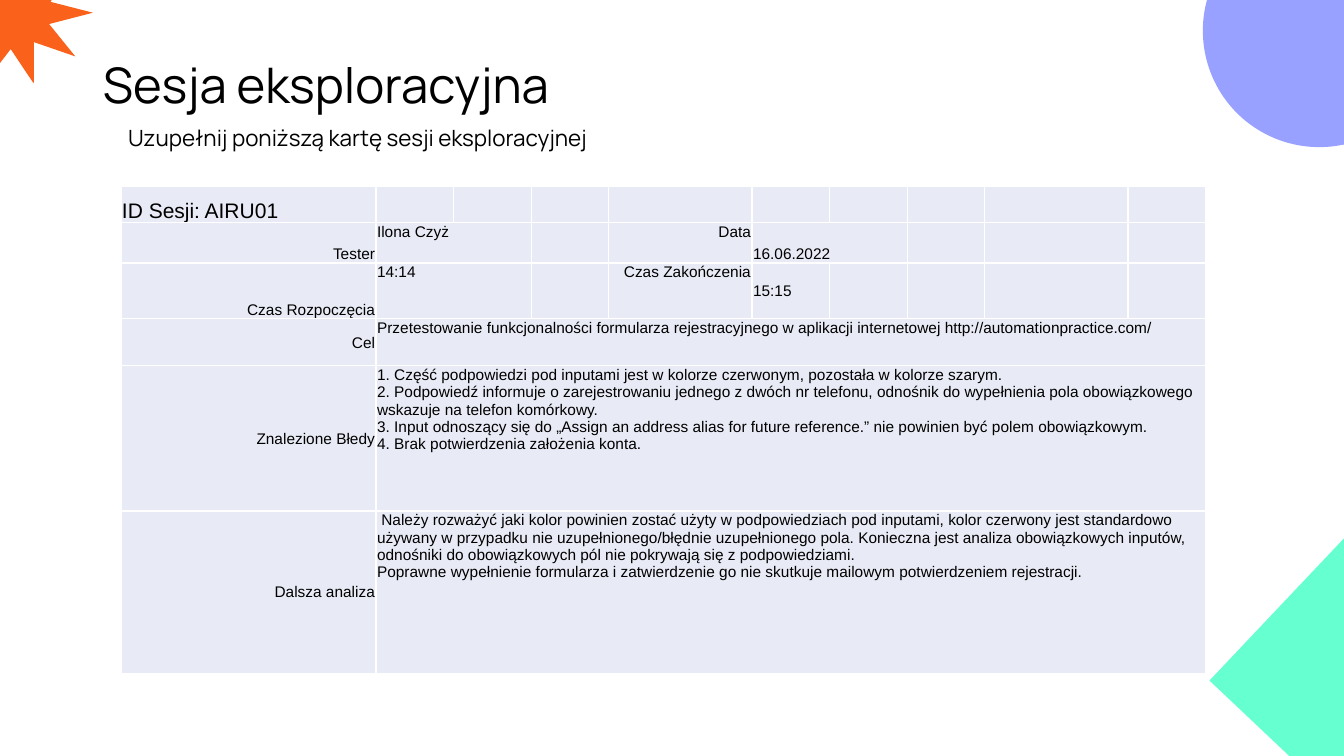
"""Builds the exploratory testing session card slide."""
from lxml.etree import SubElement
from pptx import Presentation
from pptx.dml.color import RGBColor
from pptx.enum.shapes import MSO_SHAPE
from pptx.enum.text import MSO_ANCHOR, MSO_AUTO_SIZE, PP_ALIGN
from pptx.oxml.ns import qn
from pptx.util import Inches, Pt

BLACK = RGBColor(0x00, 0x00, 0x00)
WHITE = RGBColor(0xFF, 0xFF, 0xFF)
VIOLET = RGBColor(0x98, 0xA1, 0xFF)
MINT = RGBColor(0x66, 0xFF, 0xD0)
ORANGE = RGBColor(0xFA, 0x61, 0x1A)
CELL_FILL = RGBColor(0xE8, 0xEB, 0xF5)
LEFT, RIGHT = PP_ALIGN.LEFT, PP_ALIGN.RIGHT
TOP, MIDDLE, BOTTOM = MSO_ANCHOR.TOP, MSO_ANCHOR.MIDDLE, MSO_ANCHOR.BOTTOM


def write(paragraph, text, font_name, size, align=LEFT):
    paragraph.alignment = align
    run = paragraph.add_run()
    run.text = text
    run.font.name = font_name
    run.font.size = Pt(size)
    run.font.color.rgb = BLACK


def style_cell(cell):
    cell.margin_left = cell.margin_right = cell.margin_top = Inches(0.01)
    cell.margin_bottom = 0
    properties = cell._tc.get_or_add_tcPr()
    for side in ("a:lnL", "a:lnR", "a:lnT", "a:lnB"):
        border = SubElement(properties, qn(side), w=str(Pt(1)))
        SubElement(SubElement(border, qn("a:solidFill")), qn("a:srgbClr"), val=str(WHITE))
    cell.fill.solid()
    cell.fill.fore_color.rgb = CELL_FILL


presentation = Presentation()
presentation.slide_width = Inches(13.33)
presentation.slide_height = Inches(7.5)
slide = presentation.slides.add_slide(presentation.slide_layouts[5])
slide.background.fill.solid()
slide.background.fill.fore_color.rgb = WHITE

decorations = [
    (MSO_SHAPE.OVAL, 11.93, -0.85, 2.31, 2.31, 0, VIOLET, []),
    (MSO_SHAPE.RECTANGLE, 12.37, 4.92, 3.88, 2.7, 313.4, MINT, []),
    (MSO_SHAPE.STAR_10_POINT, -0.64, -0.6, 1.53, 1.46, 343.3, ORANGE, [0.243, 1.051]),
]
for preset, left, top, width, height, rotation, color, adjustments in decorations:
    decoration = slide.shapes.add_shape(
        preset, Inches(left), Inches(top), Inches(width), Inches(height))
    decoration.rotation = rotation
    decoration.shadow.inherit = False
    decoration.fill.solid()
    decoration.fill.fore_color.rgb = color
    decoration.line.fill.background()
    for index, value in enumerate(adjustments):
        decoration.adjustments[index] = value

title = slide.shapes.title
title.left, title.top = Inches(0.92), Inches(-0.11)
title.width, title.height = Inches(10.89), Inches(1.95)
title.text_frame.auto_size = MSO_AUTO_SIZE.NONE
title.text_frame.vertical_anchor = MIDDLE
heading = title.text_frame.paragraphs[0]
heading.line_spacing = 0.9
write(heading, "Sesja eksploracyjna", "Manrope", 35)

instruction = slide.shapes.add_textbox(
    Inches(0.92), Inches(1.21), Inches(10.89), Inches(0.5)).text_frame
instruction.word_wrap = True
instruction.margin_left = Inches(0.35)
instruction.paragraphs[0].line_spacing = 0.9
write(instruction.paragraphs[0], "Uzupełnij poniższą kartę sesji eksploracyjnej", "Manrope", 16)

column_widths = [2.53, 0.77, 0.77, 0.77, 1.42, 0.77, 0.77, 0.77, 1.42, 0.77]
row_heights = [0.36, 0.4, 0.55, 0.47, 1.44, 1.61]
session_card = slide.shapes.add_table(
    len(row_heights), len(column_widths), Inches(1.2), Inches(1.85),
    Inches(sum(column_widths)), Inches(sum(row_heights))).table
session_card.first_row = session_card.horz_banding = False
for column, width in zip(session_card.columns, column_widths):
    column.width = Inches(width)
for row, height in zip(session_card.rows, row_heights):
    row.height = Inches(height)
for cell in session_card.iter_cells():
    style_cell(cell)

entries = [
    (0, 0, 1, LEFT, BOTTOM, 15, ["ID Sesji: AIRU01"]),
    (1, 0, 1, RIGHT, BOTTOM, 11, ["Tester"]),
    (1, 1, 2, LEFT, TOP, 11, ["Ilona Czyż"]),
    (1, 4, 1, RIGHT, TOP, 11, ["Data"]),
    (1, 5, 2, LEFT, BOTTOM, 11, ["16.06.2022"]),
    (2, 0, 1, RIGHT, BOTTOM, 11, ["Czas Rozpoczęcia"]),
    (2, 1, 2, LEFT, TOP, 11, ["14:14"]),
    (2, 4, 1, RIGHT, TOP, 11, ["Czas Zakończenia"]),
    (2, 5, 1, LEFT, BOTTOM, 11, ["15:15"]),
    (3, 0, 1, RIGHT, MIDDLE, 11, ["Cel"]),
    (3, 1, 9, LEFT, TOP, 11, [
        "Przetestowanie funkcjonalności formularza rejestracyjnego w aplikacji "
        "internetowej http://automationpractice.com/"]),
    (4, 0, 1, RIGHT, MIDDLE, 11, ["Znalezione Błedy"]),
    (4, 1, 9, LEFT, TOP, 11, [
        "1. Część podpowiedzi pod inputami jest w kolorze czerwonym, pozostała w kolorze szarym.",
        "2. Podpowiedź informuje o zarejestrowaniu jednego z dwóch nr telefonu, odnośnik do "
        "wypełnienia pola obowiązkowego wskazuje na telefon komórkowy.",
        "3. Input odnoszący się do „Assign an address alias for future reference.” nie powinien "
        "być polem obowiązkowym.",
        "4. Brak potwierdzenia założenia konta."]),
    (5, 0, 1, RIGHT, MIDDLE, 11, ["Dalsza analiza"]),
    (5, 1, 9, LEFT, TOP, 11, [
        " Należy rozważyć jaki kolor powinien zostać użyty w podpowiedziach pod inputami, kolor "
        "czerwony jest standardowo używany w przypadku nie uzupełnionego/błędnie uzupełnionego "
        "pola. Konieczna jest analiza obowiązkowych inputów, odnośniki do obowiązkowych pól nie "
        "pokrywają się z podpowiedziami.",
        "Poprawne wypełnienie formularza i zatwierdzenie go nie skutkuje mailowym "
        "potwierdzeniem rejestracji."]),
]
for row, column, span, align, anchor, size, lines in entries:
    cell = session_card.cell(row, column)
    if span > 1:
        cell.merge(session_card.cell(row, column + span - 1))
    cell.vertical_anchor = anchor
    for index, line in enumerate(lines):
        frame = cell.text_frame
        paragraph = frame.add_paragraph() if index else frame.paragraphs[0]
        write(paragraph, line, "Arial", size, align)
session_card.cell(2, 5).margin_bottom = Inches(0.19)

presentation.save("out.pptx")
